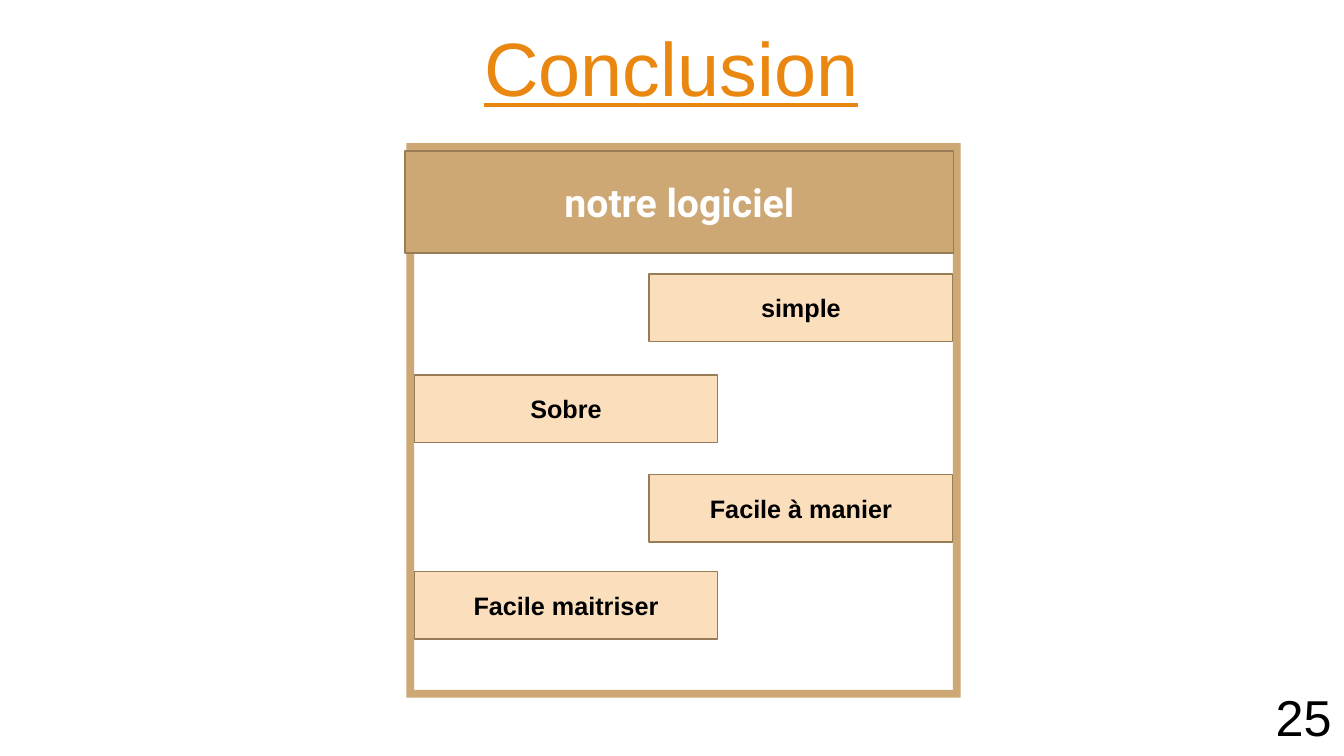
import pptx
import pptx.util
import pptx.dml.color
import pptx.enum.shapes
import pptx.enum.text

Cm = pptx.util.Cm
SHAPE = pptx.enum.shapes.MSO_SHAPE
ANCHOR = pptx.enum.text.MSO_ANCHOR

TAN, PEACH, BROWN, ORANGE = "CDA874", "FBDFBD", "987C56", "EA8710"
QUALITIES = ["simple", "Sobre", "Facile à manier", "Facile maitriser"]
QUALITY_TOPS = [3.3, 5.84, 8.35, 10.79]


def rgb(color):
    return pptx.dml.color.RGBColor.from_string(color)


def write(sp, text, size, color, font="Arial", bold=False, underline=False,
          anchor=ANCHOR.MIDDLE):
    tf = sp.text_frame
    tf.text = text
    tf.word_wrap = True
    tf.vertical_anchor = anchor
    p = tf.paragraphs[0]
    p.alignment = pptx.enum.text.PP_ALIGN.CENTER
    f = p.runs[0].font
    f.name, f.size, f.bold, f.underline = font, pptx.util.Pt(size), bold, underline
    f.color.rgb = rgb(color)


def add_box(s, kind, x, y, w, h, fill, line=None):
    sp = s.shapes.add_shape(kind, Cm(x), Cm(y), Cm(w), Cm(h))
    sp.shadow.inherit = False
    sp.fill.solid()
    sp.fill.fore_color.rgb = rgb(fill)
    if line:
        sp.line.color.rgb = rgb(line)
        sp.line.width = pptx.util.Pt(1)
    else:
        sp.line.fill.background()
    return sp


def add_title(s, x, y, w, h):
    sp = s.shapes.title
    sp.left, sp.top, sp.width, sp.height = Cm(x), Cm(y), Cm(w), Cm(h)
    write(sp, "Conclusion", 54, ORANGE, underline=True, anchor=ANCHOR.TOP)
    sp.text_frame.auto_size = pptx.enum.text.MSO_AUTO_SIZE.SHAPE_TO_FIT_TEXT


def add_software_panel(s, x, y, size):
    # Outer frame
    frame = add_box(s, SHAPE.FRAME, x, y, size, size, TAN)
    frame.adjustments[0] = 0.014
    # Heading band
    band = add_box(s, SHAPE.RECTANGLE, x - 0.03, y + 0.2, size - 0.15, 2.57, TAN, BROWN)
    write(band, "notre logiciel", 28, "FFFFFF", font="Roboto", bold=True)
    # Qualities, alternating right and left
    for i, (text, top) in enumerate(zip(QUALITIES, QUALITY_TOPS)):
        left = 0.2 if i % 2 else 6.12
        sp = add_box(s, SHAPE.RECTANGLE, x + left, y + top, 7.65, 1.7, PEACH, BROWN)
        write(sp, text, 18, "000000", bold=True)


def add_page_number(s, x, y, w, h):
    sp = s.shapes.add_textbox(Cm(x), Cm(y), Cm(w), Cm(h))
    write(sp, "25", 36, "000000", anchor=ANCHOR.TOP)
    sp.text_frame.auto_size = pptx.enum.text.MSO_AUTO_SIZE.SHAPE_TO_FIT_TEXT


def main():
    prs = pptx.Presentation()
    prs.slide_width, prs.slide_height = Cm(33.87), Cm(19.05)
    s = prs.slides.add_slide(prs.slide_layouts[5])
    add_title(s, 8.84, 0.41, 16.15, 2.57)
    add_software_panel(s, 10.24, 3.61, 13.97)
    add_page_number(s, 31.52, 17.17, 2.67, 1.8)
    prs.save("out.pptx")


if __name__ == "__main__":
    main()
